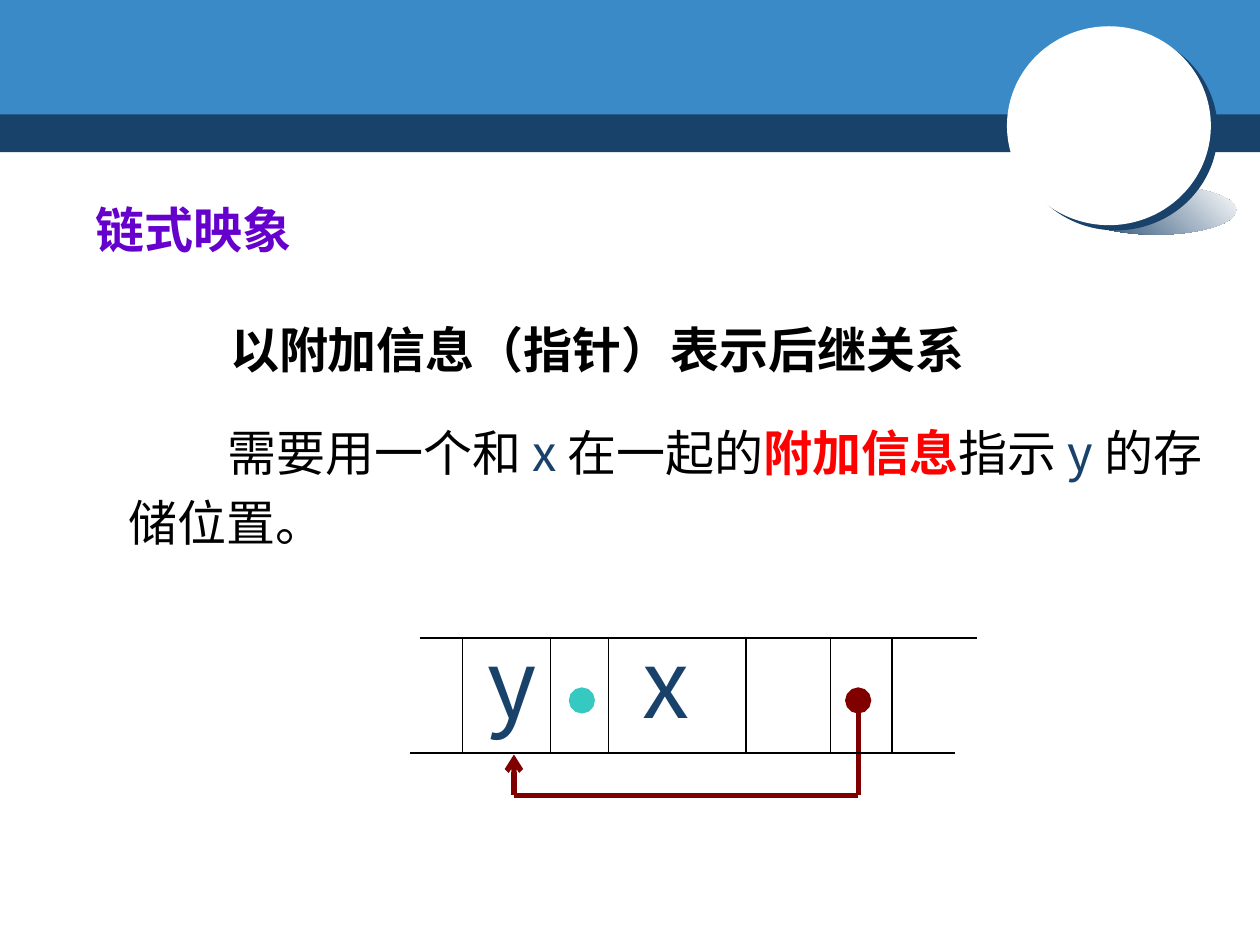
import dataclasses
import typing

import lxml.etree
import pptx
import pptx.dml.color
import pptx.enum.dml
import pptx.enum.shapes
import pptx.enum.text
import pptx.oxml
import pptx.oxml.ns
import pptx.util

Cm = pptx.util.Cm
Pt = pptx.util.Pt
qn = pptx.oxml.ns.qn
PRESET = pptx.enum.shapes.MSO_SHAPE


@dataclasses.dataclass(frozen=True)
class Theme:
    navy: str = "19426B"
    blue: str = "398AC7"
    white: str = "FFFFFF"
    black: str = "000000"
    purple: str = "6600CC"
    red: str = "FF0000"
    maroon: str = "800000"
    teal: str = "35C9C2"
    serif: str = "Times New Roman"
    sans: str = "Noto Sans CJK SC"
    body_pt: float = 28
    cell_pt: float = 54
    thin_pt: float = 0.75
    thick_pt: float = 3


THEME = Theme()


class Box(typing.NamedTuple):
    """Left, top, width and height in centimetres."""
    left: float
    top: float
    width: float
    height: float

    def lengths(self) -> list:
        return [Cm(value) for value in self]


class Words(typing.NamedTuple):
    text: str
    color: str = THEME.black
    bold: bool = False
    font: str = THEME.serif
    size: float = THEME.body_pt


class Stroke(typing.NamedTuple):
    start: tuple[float, float]
    end: tuple[float, float]
    color: str = THEME.black
    width: float = THEME.thin_pt
    head: str = ""
    head_size: str = "med"


def rgb(color: str) -> pptx.dml.color.RGBColor:
    return pptx.dml.color.RGBColor.from_string(color)


def draw_shape(slide, preset, box: Box, color: str):
    shape = slide.shapes.add_shape(preset, *box.lengths())
    shape.shadow.inherit = False
    shape.fill.solid()
    shape.fill.fore_color.rgb = rgb(color)
    shape.line.fill.background()
    return shape


def fade(shape, colors: tuple[str, str], angle: float) -> None:
    shape.fill.gradient()
    shape.fill.gradient_angle = angle
    for stop, color, position in zip(shape.fill.gradient_stops, colors, (0, 1)):
        stop.color.rgb = rgb(color)
        stop.position = position


def cast_shadow(shape, color: str, distance: float, degrees: int) -> None:
    effects = shape._element.spPr.find(qn("a:effectLst"))
    shadow = lxml.etree.SubElement(
        effects, qn("a:outerShdw"), blurRad="0", dist=str(Pt(distance)),
        dir=str(degrees * 60000), algn="ctr", rotWithShape="0")
    lxml.etree.SubElement(shadow, qn("a:srgbClr"), val=color)


def draw_text(slide, box: Box, runs: list[Words], wrap: bool = False):
    """Add a one-paragraph text box and return the paragraph."""
    frame = slide.shapes.add_textbox(*box.lengths()).text_frame
    frame.word_wrap = wrap
    frame.auto_size = pptx.enum.text.MSO_AUTO_SIZE.SHAPE_TO_FIT_TEXT
    paragraph = frame.paragraphs[0]
    for words in runs:
        run = paragraph.add_run()
        run.text = words.text
        run.font.name = words.font
        run.font.size = Pt(words.size)
        run.font.bold = words.bold
        run.font.color.rgb = rgb(words.color)
        latin = run._r.get_or_add_rPr().find(qn("a:latin"))
        east_asian = latin.makeelement(qn("a:ea"), {"typeface": THEME.sans})
        latin.addnext(east_asian)
    return paragraph


def add_tab_stop(paragraph, position: float) -> None:
    tabs = lxml.etree.SubElement(paragraph._p.get_or_add_pPr(), qn("a:tabLst"))
    lxml.etree.SubElement(tabs, qn("a:tab"), pos=str(Cm(position)), algn="l")


def draw_stroke(slide, stroke: Stroke) -> None:
    ends = [Cm(value) for value in (*stroke.start, *stroke.end)]
    connector = slide.shapes.add_connector(
        pptx.enum.shapes.MSO_CONNECTOR.STRAIGHT, *ends)
    connector.line.color.rgb = rgb(stroke.color)
    connector.line.width = Pt(stroke.width)
    if stroke.head:
        lxml.etree.SubElement(
            connector.line._get_or_add_ln(), qn("a:headEnd"), type=stroke.head,
            w=stroke.head_size, len=stroke.head_size)
    lxml.etree.SubElement(connector._element.spPr, qn("a:effectLst"))


def draw_banner(slide) -> None:
    draw_shape(slide, PRESET.RECTANGLE, Box(0, 2.21, 25.4, 0.86), THEME.navy)
    draw_shape(slide, PRESET.RECTANGLE, Box(0, 0, 25.4, 2.31), THEME.blue)
    floor = draw_shape(slide, PRESET.OVAL, Box(21.69, 3.74, 3.23, 0.99), THEME.navy)
    fade(floor, (THEME.navy, THEME.white), 45)
    disc = draw_shape(slide, PRESET.OVAL, Box(20.3, 0.53, 4.11, 4.01), THEME.white)
    cast_shadow(disc, THEME.navy, 5, 37)


def draw_explanation(slide) -> None:
    draw_text(slide, Box(1.68, 3.89, 4.47, 1.45),
              [Words("链式映象", THEME.purple, True)])
    draw_text(slide, Box(4.39, 6.32, 15.39, 1.45),
              [Words("以附加信息（指针）表示后继关系", bold=True)])
    detail = draw_text(slide, Box(2.34, 8.15, 23.06, 3.12), [
        Words("需要用一个和 "),
        Words("x ", THEME.navy, font=THEME.sans),
        Words("在一起的"),
        Words("附加信息", THEME.red, True),
        Words("指示 "),
        Words("y ", THEME.navy, font=THEME.sans),
        Words("的存储位置。"),
    ], wrap=True)
    detail.line_spacing = 1.2
    detail._p.get_or_add_pPr().set("indent", str(Cm(2)))


def draw_memory(slide) -> None:
    """Draw the row of storage cells and the pointer from x back to y."""
    top, bottom, dot_y, turn_y = 12.86, 15.18, 14.12, 16.03
    y_cell, pointer_cell = 10.36, 17.3
    dividers = (9.32, 11.1, 12.27, 15.04, 16.74, 17.98)
    pointer = {"color": THEME.maroon, "width": THEME.thick_pt}

    labels = draw_text(slide, Box(9.58, 12.45, 7.16, 2.57), [
        Words("y\tx", THEME.navy, font=THEME.sans, size=THEME.cell_pt)])
    add_tab_stop(labels, 3.12)

    strokes = [
        Stroke((pointer_cell, dot_y), (pointer_cell, turn_y),
               head="oval", head_size="lg", **pointer),
        Stroke((y_cell, turn_y), (pointer_cell, turn_y), **pointer),
        Stroke((y_cell, 15.21), (y_cell, turn_y), head="arrow", **pointer),
        Stroke((8.46, top), (19.69, top)),
        Stroke((8.26, bottom), (19.25, bottom)),
        *(Stroke((x, top), (x, bottom)) for x in dividers),
        Stroke((11.73, dot_y), (11.63, 14.3), THEME.teal, THEME.thick_pt,
               "oval", "lg"),
    ]
    for stroke in strokes:
        draw_stroke(slide, stroke)


def main() -> None:
    deck = pptx.Presentation()
    deck.slide_width, deck.slide_height = Cm(25.4), Cm(19.05)
    slide = deck.slides.add_slide(deck.slide_layouts[6])
    draw_banner(slide)
    draw_explanation(slide)
    draw_memory(slide)
    deck.save("out.pptx")


if __name__ == "__main__":
    main()
